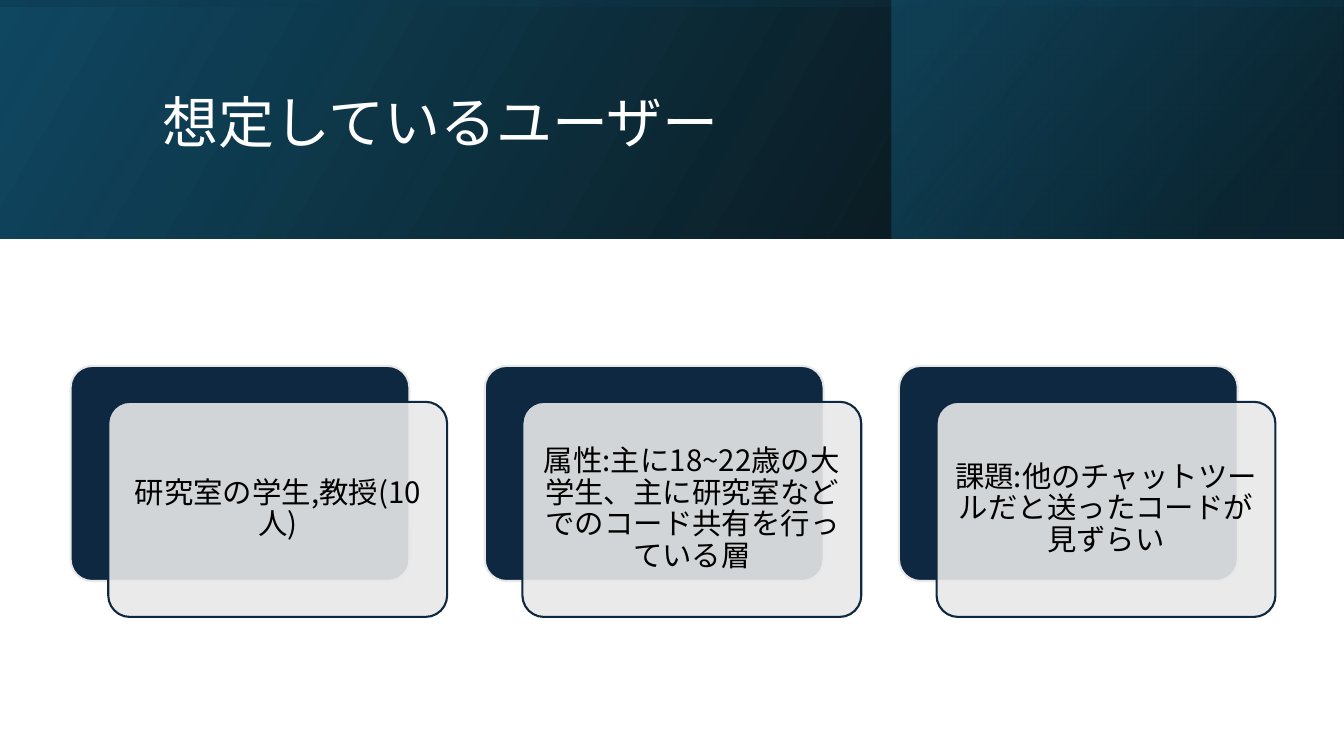
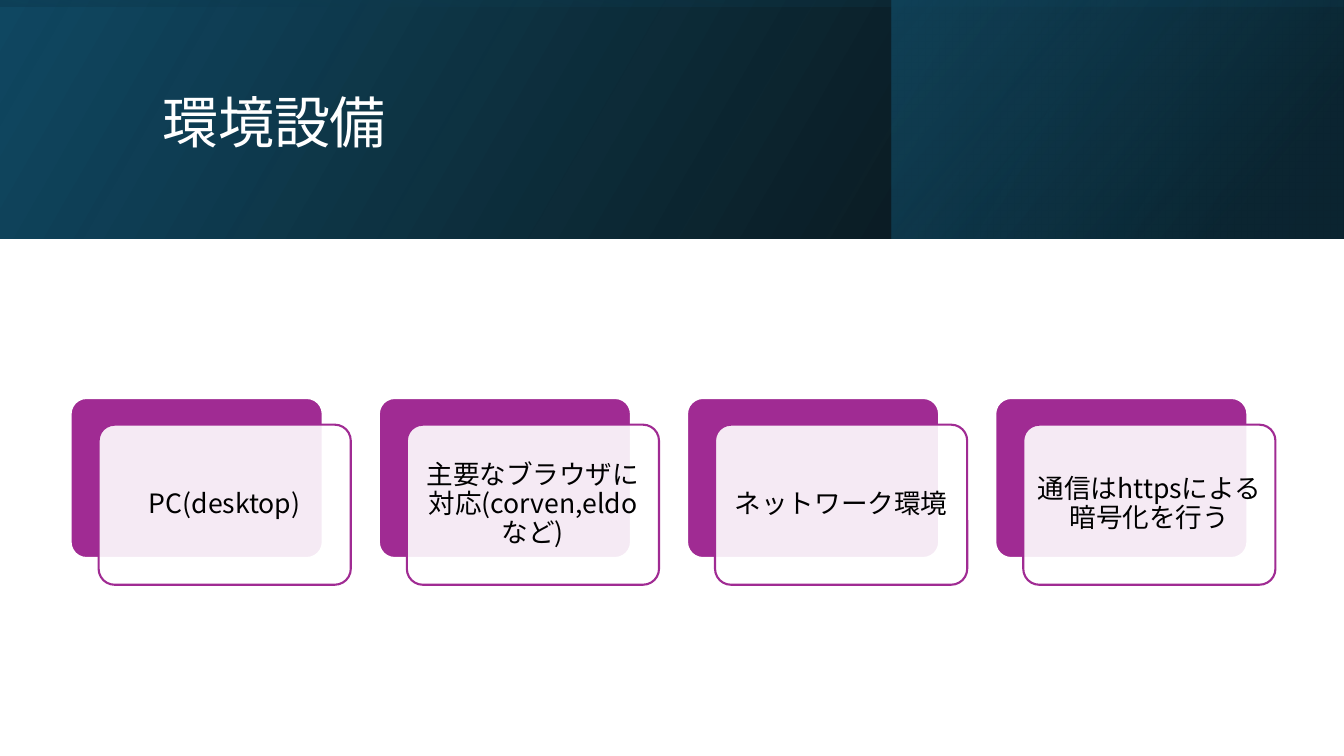
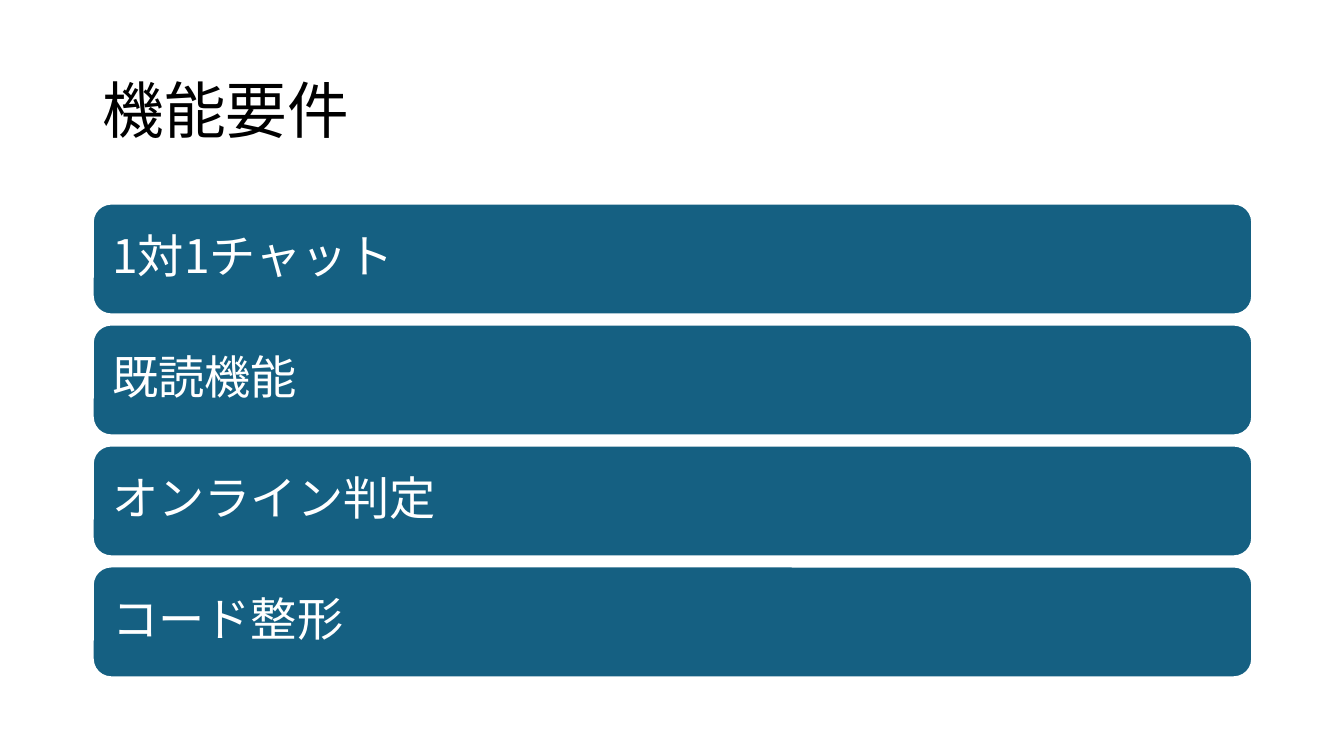
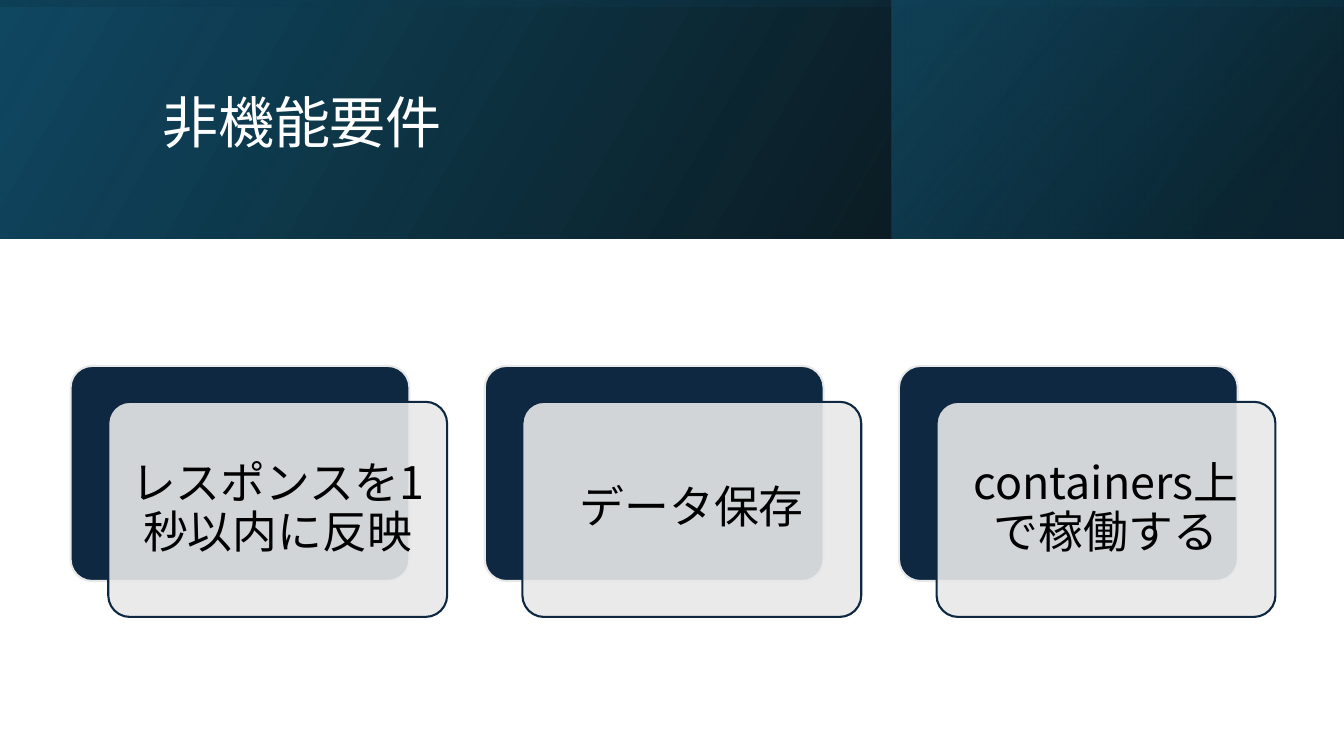
from dataclasses import dataclass

from lxml import etree
from pptx import Presentation
from pptx.dml.color import RGBColor
from pptx.enum.shapes import MSO_SHAPE
from pptx.enum.text import MSO_ANCHOR, PP_ALIGN
from pptx.oxml.ns import qn
from pptx.util import Inches, Pt

RECT = MSO_SHAPE.RECTANGLE
ROUND_RECT = MSO_SHAPE.ROUNDED_RECTANGLE
MIDDLE = MSO_ANCHOR.MIDDLE
LEFT, CENTER = PP_ALIGN.LEFT, PP_ALIGN.CENTER

SLIDE_W, SLIDE_H = 13.33, 7.5
BAND_H = 2.37
FONT = "Noto Sans CJK JP"
WHITE, BLACK = "FFFFFF", "000000"
NAVY, GREY, PURPLE, TEAL = "0E2841", "E8E8E8", "A02B93", "156082"
DEEP_BLUE, DARK_TEAL = "104862", "0B3041"
LINE_W = 1.5

ROW_LEFT, ROW_W, ROW_MIDDLE = 0.7, 11.95, 4.875
CARD_RATIO, SHIFT_X, SHIFT_Y = 0.635, 1 / 9, 0.106

BAR_LEFT, BAR_TOP, BAR_W, BAR_H, BAR_PITCH = 0.92, 2.02, 11.5, 1.1, 1.2


@dataclass(frozen=True)
class Box:
    left: float
    top: float
    width: float
    height: float

    def emu(self) -> list:
        return [Inches(v) for v in (self.left, self.top, self.width, self.height)]


@dataclass(frozen=True)
class Stop:
    position: int
    color: str
    opacity: int = 100


@dataclass(frozen=True)
class Band:
    box: Box
    stops: tuple
    angle: int
    rotation: int = 0


@dataclass(frozen=True)
class CardSlide:
    title: str
    texts: tuple
    size: int
    inset: float
    dark: str
    light: str


BANDS = (
    Band(Box(0, 0, SLIDE_W, BAND_H),
         (Stop(0, BLACK, 96), Stop(100, DEEP_BLUE)), 330),
    Band(Box(8.84, 0, 4.48, BAND_H),
         (Stop(19, DARK_TEAL, 68), Stop(100, TEAL, 48)), 320),
    Band(Box((SLIDE_W - BAND_H) / 2, (BAND_H - SLIDE_W) / 2, BAND_H, SLIDE_W),
         (Stop(23, DEEP_BLUE, 16), Stop(99, BLACK, 45)), 350, 270),
)

USERS = CardSlide(
    "想定しているユーザー",
    ("研究室の学生,教授(10人)",
     "属性:主に18~22歳の大学生、主に研究室などでのコード共有を行っている層",
     "課題:他のチャットツールだと送ったコードが見ずらい"),
    21, 0.09, NAVY, GREY)
ENVIRONMENT = CardSlide(
    "環境設備",
    ("PC(desktop)",
     "主要なブラウザに対応(corven,eldoなど)",
     "ネットワーク環境",
     "通信はhttpsによる暗号化を行う"),
    19, 0.08, PURPLE, WHITE)
QUALITIES = CardSlide(
    "非機能要件",
    ("レスポンスを1秒以内に反映", "データ保存", "containers上で稼働する"),
    32, 0.13, NAVY, GREY)
FEATURES = ("1対1チャット", "既読機能", "オンライン判定", "コード整形")


def rgb(color: str) -> RGBColor:
    return RGBColor.from_string(color)


def set_opacity(color_element, percent: int) -> None:
    etree.SubElement(color_element, qn("a:alpha")).set("val", str(percent * 1000))


def set_gradient(sp, stops: tuple, angle: int) -> None:
    sp.fill.background()
    no_fill = sp._element.spPr.find(qn("a:noFill"))
    grad = etree.Element(qn("a:gradFill"), rotWithShape="1")
    stop_list = etree.SubElement(grad, qn("a:gsLst"))
    for stop in stops:
        gs = etree.SubElement(stop_list, qn("a:gs"), pos=str(stop.position * 1000))
        color = etree.SubElement(gs, qn("a:srgbClr"), val=stop.color)
        set_opacity(color, stop.opacity)
    etree.SubElement(grad, qn("a:lin"), ang=str(angle * 60000), scaled="0")
    no_fill.getparent().replace(no_fill, grad)


def write(sp, text: str, size: int, color: str, align=LEFT, inset=None) -> None:
    tf = sp.text_frame
    tf.word_wrap = True
    tf.vertical_anchor = MIDDLE
    if inset is not None:
        tf.margin_left = tf.margin_right = Inches(inset)
        tf.margin_top = tf.margin_bottom = Inches(inset)
    tf.text = text
    p = tf.paragraphs[0]
    p.alignment = align
    p.line_spacing = 0.9
    font = p.runs[0].font
    font.size = Pt(size)
    font.name = FONT
    font.color.rgb = rgb(color)
    r_pr = p.runs[0]._r.get_or_add_rPr()
    r_pr.set("lang", "ja-JP")
    etree.SubElement(r_pr, qn("a:ea"), typeface=FONT)


def add_title(s, text: str, box: Box, size: int, color: str) -> None:
    write(s.shapes.add_textbox(*box.emu()), text, size, color)


def add_round_rect(s, box: Box, fill: str, line: str):
    sp = s.shapes.add_shape(ROUND_RECT, *box.emu())
    sp.shadow.inherit = False
    sp.fill.solid()
    sp.fill.fore_color.rgb = rgb(fill)
    sp.line.color.rgb = rgb(line)
    sp.line.width = Pt(LINE_W)
    return sp


def add_band(s, band: Band) -> None:
    sp = s.shapes.add_shape(RECT, *band.box.emu())
    sp.shadow.inherit = False
    sp.line.fill.background()
    sp.rotation = band.rotation
    sp._element.spPr.find(qn("a:xfrm")).set("flipH", "1")
    set_gradient(sp, band.stops, band.angle)


def add_card(s, box: Box, text: str, design: CardSlide) -> None:
    back = add_round_rect(s, box, design.dark, design.light)
    front_box = Box(box.left + box.width * SHIFT_X, box.top + box.width * SHIFT_Y,
                    box.width, box.height)
    front = add_round_rect(s, front_box, design.light, design.dark)
    for sp in (back, front):
        sp.adjustments[0] = 0.1
    set_opacity(front._element.spPr.find(qn("a:solidFill"))[0], 90)
    write(front, text, design.size, BLACK, CENTER, design.inset)


def blank_slide(prs):
    return prs.slides.add_slide(prs.slide_layouts[6])


def build_card_slide(prs, design: CardSlide) -> None:
    s = blank_slide(prs)
    for band in BANDS:
        add_band(s, band)
    add_title(s, design.title, Box(1.51, 0.38, 10.63, 1.72), 40, WHITE)
    count = len(design.texts)
    width = ROW_W / (count * (1 + SHIFT_X) + (count - 1) * SHIFT_X)
    pitch = width * (1 + 2 * SHIFT_X)
    top = ROW_MIDDLE - width * (CARD_RATIO + SHIFT_Y) / 2
    for i, text in enumerate(design.texts):
        box = Box(ROW_LEFT + i * pitch, top, width, width * CARD_RATIO)
        add_card(s, box, text, design)


def build_feature_slide(prs) -> None:
    s = blank_slide(prs)
    add_title(s, "機能要件", Box(BAR_LEFT, 0.4, BAR_W, 1.45), 44, BLACK)
    for i, text in enumerate(FEATURES):
        box = Box(BAR_LEFT, BAR_TOP + i * BAR_PITCH, BAR_W, BAR_H)
        write(add_round_rect(s, box, TEAL, WHITE), text, 33, WHITE, inset=0.14)


def main() -> None:
    prs = Presentation()
    prs.slide_width, prs.slide_height = Inches(SLIDE_W), Inches(SLIDE_H)
    build_card_slide(prs, USERS)
    build_card_slide(prs, ENVIRONMENT)
    build_feature_slide(prs)
    build_card_slide(prs, QUALITIES)
    prs.save("out.pptx")


if __name__ == "__main__":
    main()
